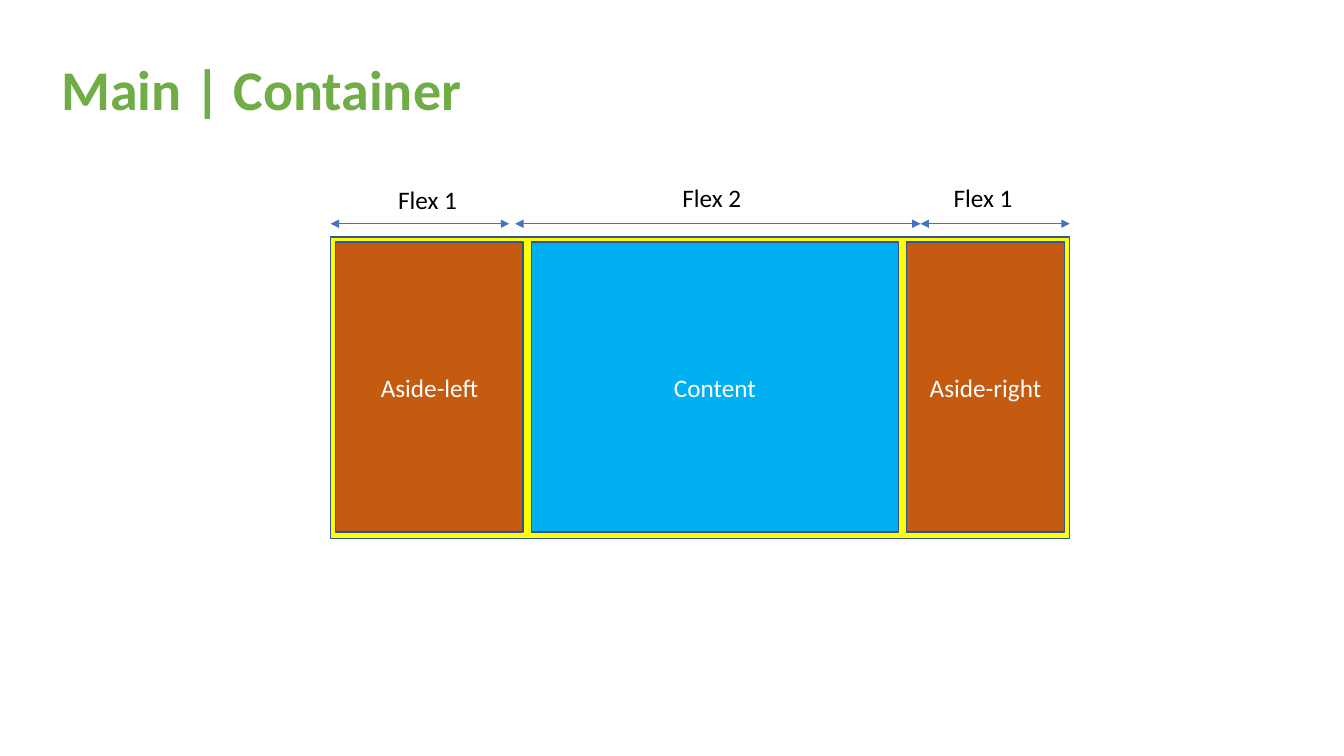
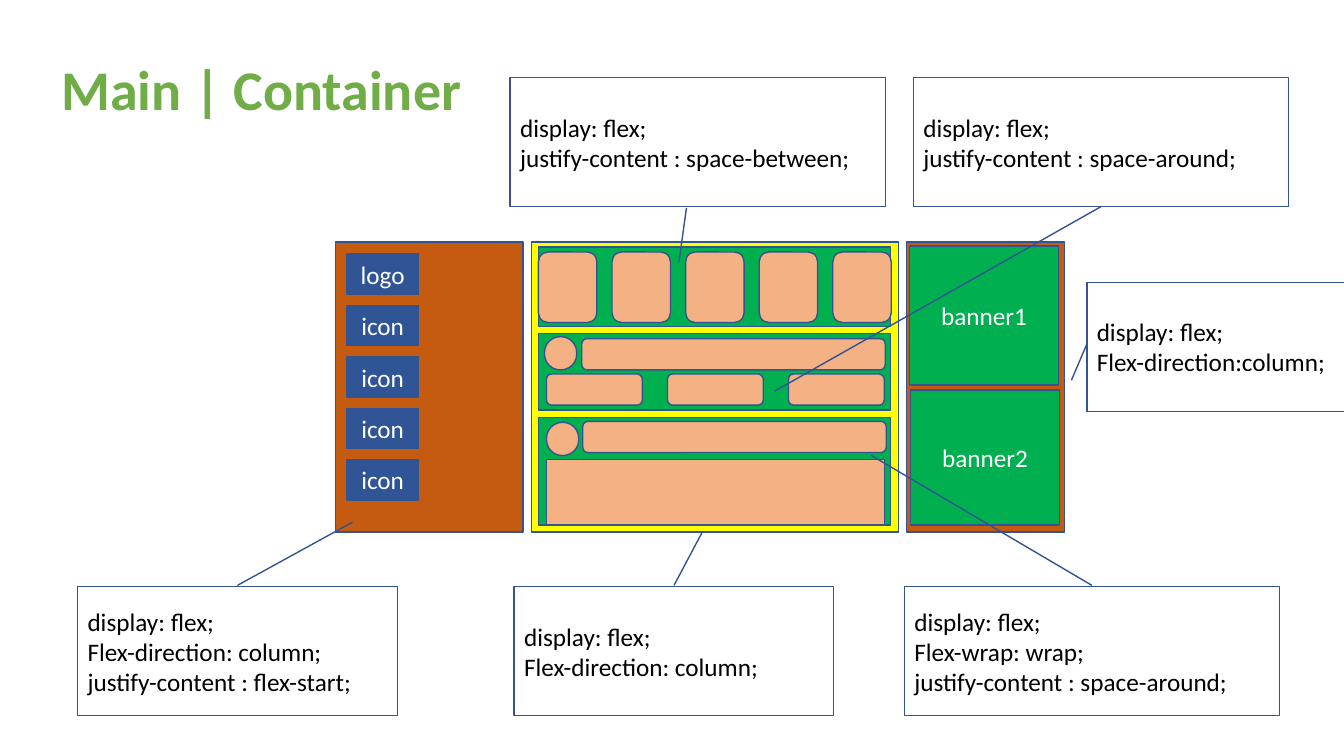
from pptx import Presentation
from pptx.dml.color import RGBColor
from pptx.enum.shapes import MSO_CONNECTOR as Conn, MSO_SHAPE as Shape
from pptx.enum.text import MSO_ANCHOR as Anchor, MSO_AUTO_SIZE as Fit, PP_ALIGN as Align
from pptx.oxml.ns import qn
from pptx.util import Inches, Pt
from lxml.etree import SubElement

FONT = "Calibri"
WHITE = RGBColor(0xFF, 0xFF, 0xFF)
BLACK = RGBColor(0, 0, 0)
LEAF = RGBColor(0x70, 0xAD, 0x47)
EDGE = RGBColor(0x32, 0x54, 0x91)
ARROW = RGBColor(0x44, 0x72, 0xC4)
YELLOW = RGBColor(0xFF, 0xFF, 0)
SKY = RGBColor(0, 0xB0, 0xF0)
RUST = RGBColor(0xC5, 0x5A, 0x11)
NAVY = RGBColor(0x2F, 0x55, 0x97)
GREEN = RGBColor(0, 0xB0, 0x50)
PEACH = RGBColor(0xF4, 0xB1, 0x83)

TITLE = "Main | Container"
TITLE_BOX = (0.51, 0.49, 4.52, 0.77)

# Columns of the page: left, width; all share one top and height
TOP, TALL = 2.4, 2.88
LEFT, MID, RIGHT = (3.33, 1.86), (5.27, 3.64), (8.99, 1.57)
PANELS = [(MID, "Content", SKY), (LEFT, "Aside-left", RUST),
          (RIGHT, "Aside-right", RUST)]
FRAME = (3.28, 2.35, 7.33, 2.99)

# Span from, span to, label, label left, label top
SPAN_Y = 2.22
SPANS = [(3.28, 5.05, "Flex 1", 3.85, 1.78),
         (9.13, 10.61, "Flex 1", 9.36, 1.76),
         (5.11, 9.13, "Flex 2", 6.67, 1.76)]

MENU = ["logo", "icon", "icon", "icon", "icon"]
BANNERS = [("banner1", 9.02, 2.44, 1.38), ("banner2", 9.03, 3.87, 1.34)]
ROW_X, ROW_W = 5.34, 3.49
ROWS = [(2.45, 0.79), (3.31, 0.76), (4.14, 1.07)]
# Avatar left and top, then bar left and top
POSTS = [(5.40, 3.34, 5.77, 3.36), (5.42, 4.19, 5.78, 4.18)]

FLEX = "display: flex;"
# Box, pointer (y1, x1, y2, x2 as shares of the box), lines
NOTES = [
    ((0.77, 5.82, 3.17, 1.28), (-0.01, 0.5, -0.5, 0.86),
     [FLEX, "Flex-direction: column;", "justify-content : flex-start;"]),
    ((5.1, 5.82, 3.17, 1.28), (-0.01, 0.5, -0.43, 0.59),
     [FLEX, "Flex-direction: column;"]),
    ((5.06, 0.77, 3.72, 1.28), (1.01, 0.47, 1.43, 0.45),
     [FLEX, "justify-content : space-between;"]),
    ((9.06, 0.77, 3.72, 1.28), (1, 0.5, 2.43, -0.37),
     [FLEX, "justify-content : space-around;"]),
    ((8.97, 5.82, 3.72, 1.28), (-0.01, 0.5, -1.02, -0.09),
     [FLEX, "Flex-wrap: wrap;", "justify-content : space-around;"]),
    ((10.78, 2.8, 2.56, 1.28), (0.48, 0, 0.76, -0.06),
     [FLEX, "Flex-direction:column;"]),
]


def write(frame, lines, color, align=Align.LEFT, size=18, bold=False):
    """Fill a text frame, one paragraph per line."""
    frame.text = "\n".join(lines)
    for par in frame.paragraphs:
        par.alignment = align
        font = par.font
        font.name, font.size, font.bold = FONT, Pt(size), bold
        font.color.rgb = color


def draw(slide, box, fill=None, text="", kind=Shape.RECTANGLE, adj=()):
    """Add an outlined shape with an optional centred label."""
    shape = slide.shapes.add_shape(kind, *map(Inches, box))
    shape.shadow.inherit = False
    if fill is None:
        shape.fill.background()
    else:
        shape.fill.solid()
        shape.fill.fore_color.rgb = fill
    shape.line.color.rgb = EDGE
    shape.line.width = Pt(1)
    for i, share in enumerate(adj):
        shape.adjustments[i] = share
    if text:
        shape.text_frame.vertical_anchor = Anchor.MIDDLE
        write(shape.text_frame, [text], WHITE, Align.CENTER)
    return shape


def pill(slide, box, adj=()):
    """Add a peach rounded box."""
    draw(slide, box, PEACH, kind=Shape.ROUNDED_RECTANGLE, adj=adj)


def note(slide, box, adj, lines):
    """Add a callout holding style rules."""
    frame = draw(slide, box, kind=Shape.LINE_CALLOUT_1, adj=adj).text_frame
    frame.vertical_anchor = Anchor.MIDDLE
    write(frame, lines, BLACK)


def span(slide, start, end, text, left, top):
    """Add a two-headed arrow and its label."""
    line = slide.shapes.add_connector(
        Conn.STRAIGHT, *map(Inches, (start, SPAN_Y, end, SPAN_Y)))
    line.line.color.rgb = ARROW
    line.line.width = Pt(0.5)
    stroke = line.line._get_or_add_ln()
    for tag in ("a:headEnd", "a:tailEnd"):
        SubElement(stroke, qn(tag), type="triangle")
    SubElement(line._element.spPr, qn("a:effectLst"))
    frame = slide.shapes.add_textbox(
        *map(Inches, (left, top, 0.83, 0.4))).text_frame
    frame.word_wrap = False
    write(frame, [text], BLACK)


def page(deck):
    """Add a slide with the shared title."""
    slide = deck.slides.add_slide(deck.slide_layouts[5])
    head = slide.shapes.title
    head.left, head.top, head.width, head.height = map(Inches, TITLE_BOX)
    frame = head.text_frame
    frame.word_wrap, frame.auto_size = True, Fit.NONE
    frame.vertical_anchor = Anchor.TOP
    write(frame, [TITLE], LEAF, size=40, bold=True)
    return slide


def plan(slide):
    """Draw the three columns and their flex shares."""
    draw(slide, FRAME, YELLOW)
    for (left, wide), text, fill in PANELS:
        draw(slide, (left, TOP, wide, TALL), fill, text)
    for item in SPANS:
        span(slide, *item)


def detail(slide):
    """Draw what each column holds, and the rules for it."""
    for (left, wide), fill in ((MID, YELLOW), (LEFT, RUST), (RIGHT, RUST)):
        draw(slide, (left, TOP, wide, TALL), fill)
    for i, text in enumerate(MENU):
        draw(slide, (3.44, 2.52 + 0.51 * i, 0.71, 0.4), NAVY, text)
    for top, tall in ROWS:
        draw(slide, (ROW_X, top, ROW_W, tall), GREEN)
    for i in range(5):
        pill(slide, (ROW_X + 0.73 * i, 2.5, 0.58, 0.7))
    for face_x, face_y, bar_x, bar_y in POSTS:
        pill(slide, (face_x, face_y, 0.32, 0.33), (0.49,))
        pill(slide, (bar_x, bar_y, 3.01, 0.31))
    for i in range(3):
        pill(slide, (5.42 + 1.2 * i, 3.71, 0.95, 0.31))
    draw(slide, (5.42, 4.56, 3.35, 0.65), PEACH)
    for text, left, top, tall in BANNERS:
        draw(slide, (left, top, 1.48, tall), GREEN, text)
    for item in NOTES:
        note(slide, *item)


deck = Presentation()
deck.slide_width, deck.slide_height = Inches(13.33), Inches(7.5)
plan(page(deck))
detail(page(deck))
deck.save("out.pptx")
